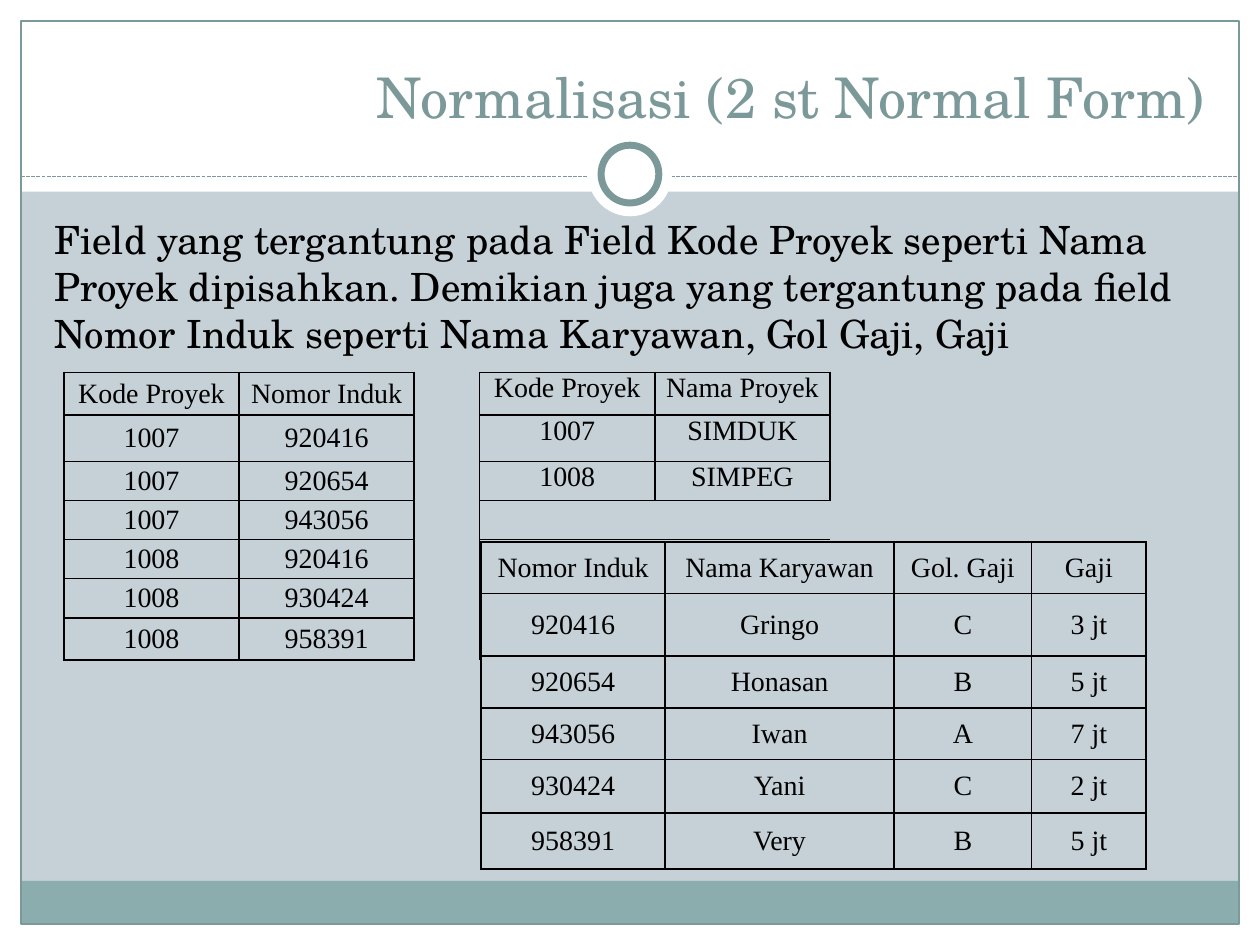
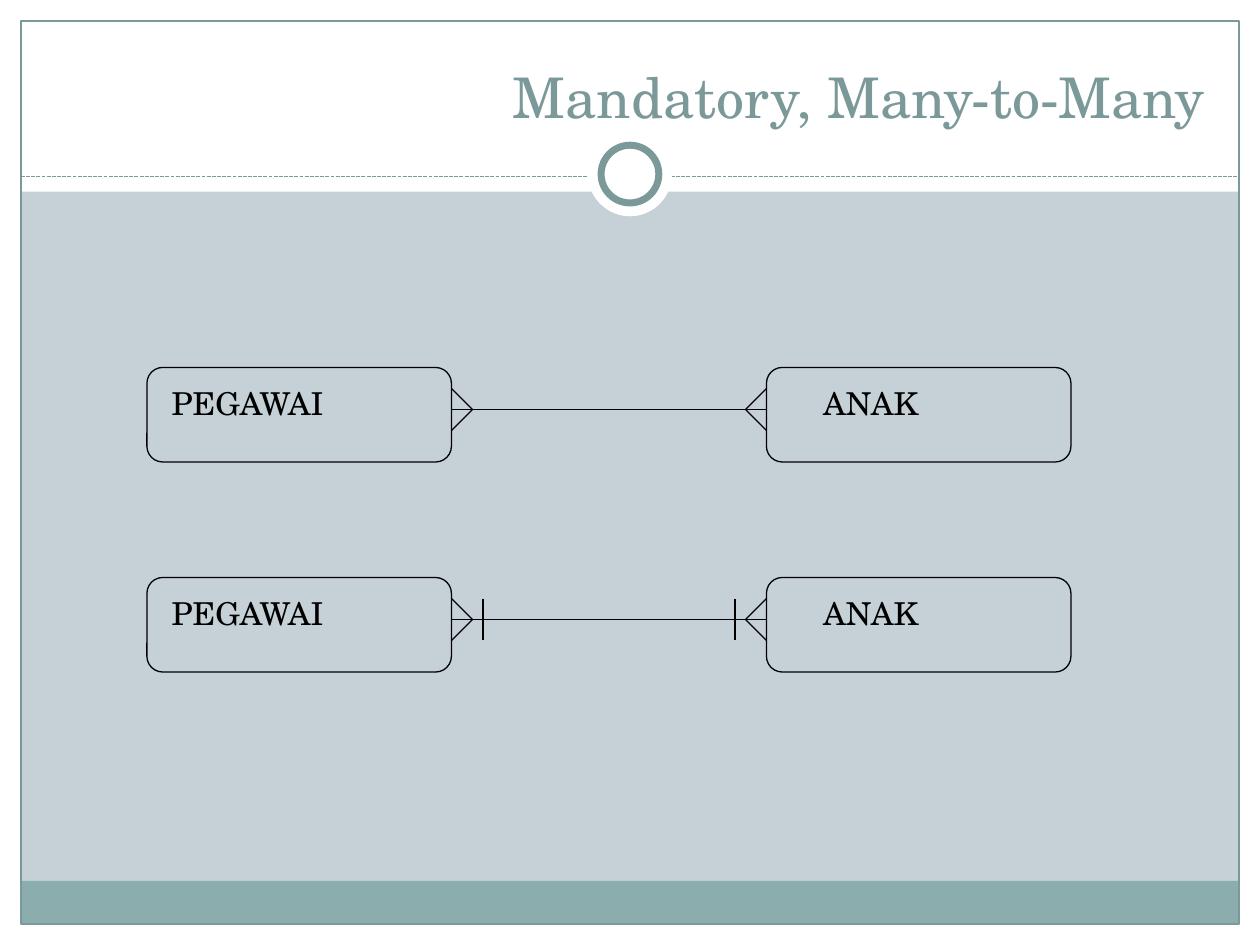
from lxml.etree import SubElement
from pptx import Presentation
from pptx.dml.color import RGBColor
from pptx.enum.dml import MSO_LINE
from pptx.enum.shapes import MSO_CONNECTOR, MSO_SHAPE
from pptx.enum.text import MSO_ANCHOR, MSO_AUTO_SIZE, PP_ALIGN
from pptx.oxml.ns import qn
from pptx.util import Pt

COLORS = {
    "backdrop": "C5D1D7",
    "paper": "FFFFFF",
    "band": "8CADAE",
    "accent": "7C999A",
    "ink": "000000",
}
SERIF = "TeX Gyre Schola"
TABLE_FONT = "Times New Roman"
NO_GRID_STYLE = "{2D5ABB26-0587-4C30-8999-92F81FD0307C}"

NORMAL_FORM_TITLE = "Normalisasi (2 st Normal Form)"
EXPLANATION = (
    "Field yang tergantung pada Field Kode Proyek seperti Nama Proyek dipisahkan. "
    "Demikian juga yang tergantung pada field Nomor Induk seperti Nama Karyawan, "
    "Gol Gaji, Gaji"
)
PROJECTS = {
    "corner": (36.5, 213),
    "widths": [100.1, 100.1, 37.4, 100.1, 100.1],
    "heights": [24.2, 26.6, 22.3, 22.3, 22.3, 22.7, 24],
    "top_columns": (3, 4),
    "rows": [
        ("Kode Proyek", "Nomor Induk", "", "Kode Proyek", "Nama Proyek"),
        ("1007", "920416", "", "1007", "SIMDUK"),
        ("1007", "920654", "", "1008", "SIMPEG"),
        ("1007", "943056", "", "", ""),
        ("1008", "920416", "", "", ""),
        ("1008", "930424", "", "", ""),
        ("1008", "958391", "", "", ""),
    ],
}
EMPLOYEES = {
    "corner": (275, 309.6),
    "widths": [105, 131, 78.5, 65.5],
    "heights": [29.7, 35.5, 29.7, 29.7, 30.4, 32.2],
    "top_columns": (),
    "rows": [
        ("Nomor Induk", "Nama Karyawan", "Gol. Gaji", "Gaji"),
        ("920416", "Gringo", "C", "3 jt"),
        ("920654", "Honasan", "B", "5 jt"),
        ("943056", "Iwan", "A", "7 jt"),
        ("930424", "Yani", "C", "2 jt"),
        ("958391", "Very", "B", "5 jt"),
    ],
}

RELATION_TITLE = "Mandatory, Many-to-Many"
ENTITIES = [
    {"label": "PEGAWAI", "left": 84, "label_left": 90, "label_width": 103},
    {"label": "ANAK", "left": 438, "label_left": 462, "label_width": 71},
]
ENTITY_WIDTH, ENTITY_HEIGHT = 174, 54
RELATIONS = [{"top": 210, "barred": False}, {"top": 330, "barred": True}]
LINE_DROP, FOOT, BAR_OFFSET = 24, 12, 18


def rgb(name):
    return RGBColor.from_string(COLORS[name])


def add_outline(shapes, preset, box, fill=None, line=None, weight=0.75):
    shape = shapes.add_shape(preset, *map(Pt, box))
    shape.shadow.inherit = False
    if fill:
        shape.fill.solid()
        shape.fill.fore_color.rgb = rgb(fill)
    else:
        shape.fill.background()
    if line:
        shape.line.color.rgb = rgb(line)
        shape.line.width = Pt(weight)
    else:
        shape.line.fill.background()
    return shape


def add_line(shapes, start, end, color="ink", dash=None):
    line = shapes.add_connector(MSO_CONNECTOR.STRAIGHT, *map(Pt, start + end))
    line.line.color.rgb = rgb(color)
    line.line.width = Pt(0.75)
    if dash:
        line.line.dash_style = dash
    SubElement(line.element.spPr, qn("a:effectLst"))
    return line


def write(frame, text, size, color="ink", align=PP_ALIGN.LEFT, font=SERIF):
    frame.text = text
    paragraph = frame.paragraphs[0]
    paragraph.alignment = align
    for run in paragraph.runs:
        run.font.size = Pt(size)
        run.font.name = font
        run.font.color.rgb = rgb(color)
    return paragraph


def decorate(layout, slide):
    layout.background.fill.solid()
    layout.background.fill.fore_color.rgb = rgb("backdrop")
    for placeholder in list(layout.placeholders)[1:]:
        layout.shapes.element.remove(placeholder.element)
    shapes = slide.shapes
    rect, oval = MSO_SHAPE.RECTANGLE, MSO_SHAPE.OVAL
    margins = [(0, 528, 720, 12), (0, 0, 720, 109.5), (0, 0, 12, 540), (708, 0, 12, 540)]
    parts = [add_outline(shapes, rect, box, "paper") for box in margins]
    parts += [
        add_outline(shapes, rect, (12, 503.3, 695.5, 24.7), "band"),
        add_outline(shapes, rect, (12, 12, 696, 516), line="accent"),
        add_line(shapes, (12, 100.8), (708, 100.8), "accent", MSO_LINE.SQUARE_DOT),
        add_outline(shapes, oval, (336, 75.6, 48, 48), "paper"),
        add_outline(shapes, oval, (343.5, 83, 33, 33), "paper", "accent", 4),
    ]
    for part in parts:
        layout.shapes.element.append(part.element)


def set_title(slide, text):
    title = slide.shapes.title
    title.left, title.top, title.width, title.height = map(Pt, (24, 18, 672, 60))
    frame = title.text_frame
    write(frame, text, 32, "accent", PP_ALIGN.RIGHT)
    frame.auto_size = MSO_AUTO_SIZE.NONE
    frame.vertical_anchor = MSO_ANCHOR.BOTTOM


def add_border(cell, side):
    border = SubElement(cell._tc.get_or_add_tcPr(), qn(f"a:ln{side}"), w=str(Pt(1)))
    fill = SubElement(border, qn("a:solidFill"))
    SubElement(fill, qn("a:srgbClr"), val=COLORS["ink"])


def add_grid(slide, grid):
    rows, widths, heights = grid["rows"], grid["widths"], grid["heights"]
    box = (*grid["corner"], sum(widths), sum(heights))
    holder = slide.shapes.add_table(len(rows), len(widths), *map(Pt, box))
    table = holder.table
    table.first_row = table.horz_banding = False
    holder.element.find(".//" + qn("a:tableStyleId")).text = NO_GRID_STYLE
    for column, width in zip(table.columns, widths):
        column.width = Pt(width)
    for row, height in zip(table.rows, heights):
        row.height = Pt(height)

    def filled(r, c):
        return 0 <= r < len(rows) and 0 <= c < len(widths) and bool(rows[r][c])

    for r, row in enumerate(rows):
        for c, text in enumerate(row):
            cell = table.cell(r, c)
            cell.margin_left = cell.margin_right = Pt(5)
            cell.margin_top = cell.margin_bottom = 0
            at_top = c in grid["top_columns"]
            cell.vertical_anchor = MSO_ANCHOR.TOP if at_top else MSO_ANCHOR.MIDDLE
            paragraph = write(cell.text_frame, text, 16, align=PP_ALIGN.CENTER, font=TABLE_FONT)
            if not text:
                SubElement(paragraph._p, qn("a:endParaRPr"), sz="1600")
            elif r == 0:
                paragraph.space_before = paragraph.space_after = Pt(6)
            for side, dr, dc in (("L", 0, -1), ("R", 0, 1), ("T", -1, 0), ("B", 1, 0)):
                if text or filled(r + dr, c + dc):
                    add_border(cell, side)
            cell.fill.background()


def add_relation(slide, top, barred):
    shapes = slide.shapes.add_group_shape().shapes
    for entity in ENTITIES:
        box = (entity["left"], top, ENTITY_WIDTH, ENTITY_HEIGHT)
        add_outline(shapes, MSO_SHAPE.ROUNDED_RECTANGLE, box, line="ink")
        label_box = (entity["label_left"], top + 6, entity["label_width"], 28.8)
        label = shapes.add_textbox(*map(Pt, label_box)).text_frame
        write(label, entity["label"], 18, align=PP_ALIGN.CENTER)
        label.word_wrap = False
        label.auto_size = MSO_AUTO_SIZE.SHAPE_TO_FIT_TEXT
    y = top + LINE_DROP
    left_edge, right_edge = ENTITIES[0]["left"] + ENTITY_WIDTH, ENTITIES[1]["left"]
    add_line(shapes, (left_edge, y), (right_edge, y))
    for edge, inward in ((left_edge, 1), (right_edge, -1)):
        for spread in (-FOOT, FOOT):
            add_line(shapes, (edge, y + spread), (edge + inward * FOOT, y))
        if barred:
            bar = edge + inward * BAR_OFFSET
            add_line(shapes, (bar, y - FOOT), (bar, y + FOOT))


def main():
    deck = Presentation()
    deck.slide_width, deck.slide_height = Pt(720), Pt(540)
    layout = deck.slide_layouts[5]

    normal_form = deck.slides.add_slide(layout)
    decorate(layout, normal_form)
    set_title(normal_form, NORMAL_FORM_TITLE)
    explanation = normal_form.shapes.add_textbox(*map(Pt, (24, 120, 669.6, 93.6))).text_frame
    explanation.word_wrap = True
    write(explanation, EXPLANATION, 22.2)
    add_grid(normal_form, PROJECTS)
    add_grid(normal_form, EMPLOYEES)

    many_to_many = deck.slides.add_slide(layout)
    set_title(many_to_many, RELATION_TITLE)
    for relation in RELATIONS:
        add_relation(many_to_many, **relation)

    deck.save("out.pptx")


if __name__ == "__main__":
    main()
